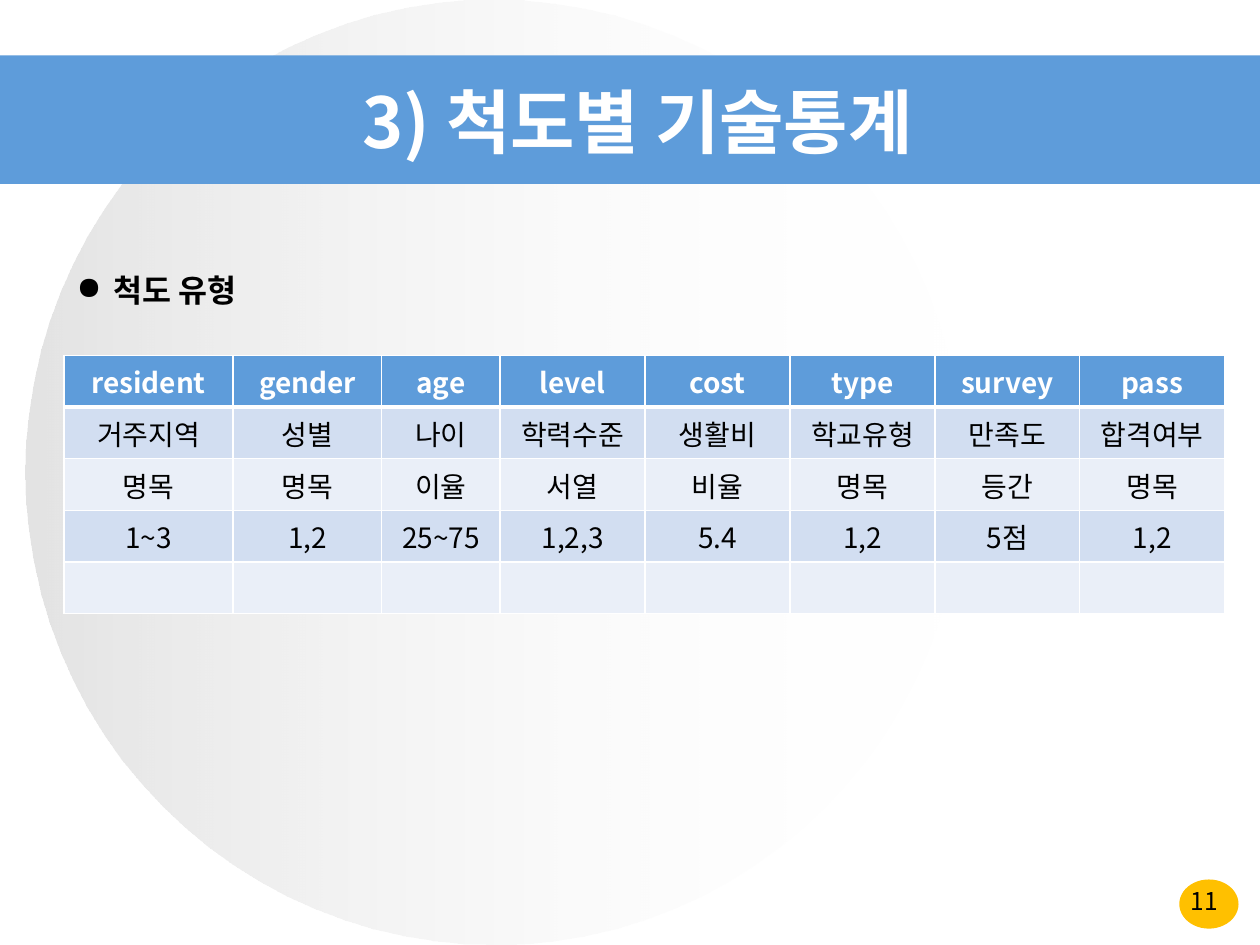
from lxml.etree import SubElement
from pptx import Presentation
from pptx.dml.color import RGBColor
from pptx.enum.shapes import MSO_SHAPE
from pptx.enum.text import MSO_ANCHOR, PP_ALIGN
from pptx.oxml.ns import qn
from pptx.util import Inches, Pt

FONT = "Noto Sans CJK KR"
WHITE = RGBColor(0xFF, 0xFF, 0xFF)
BLACK = RGBColor(0x00, 0x00, 0x00)
SILVER = RGBColor(0xC0, 0xC0, 0xC0)
BLUE = RGBColor(0x5E, 0x9C, 0xDA)
AMBER = RGBColor(0xFF, 0xC0, 0x00)
BAND_DARK = RGBColor(0xD2, 0xDE, 0xF1)
BAND_LIGHT = RGBColor(0xEA, 0xEF, 0xF8)

COLUMN_WIDTHS = [1.34, 1.18, 0.94] + [1.15] * 5
SCALE_ROWS = [
    ["resident", "gender", "age", "level", "cost", "type", "survey", "pass"],
    ["거주지역", "성별", "나이", "학력수준", "생활비", "학교유형", "만족도", "합격여부"],
    ["명목", "명목", "이율", "서열", "비율", "명목", "등간", "명목"],
    ["1~3", "1,2", "25~75", "1,2,3", "5.4", "1,2", "5점", "1,2"],
    [""] * 8,
]


def style_paragraph(paragraph, size, color, bold=False, align=PP_ALIGN.CENTER):
    """Set alignment and font, including the East Asian typeface."""
    paragraph.alignment = align
    font = paragraph.font
    font.name, font.size, font.bold = FONT, Pt(size), bold
    font.color.rgb = color
    SubElement(font._rPr, qn("a:ea"), typeface=FONT)


def add_panel(slide, preset, left, top, width, height):
    """Add an outline-free shape without a shadow."""
    panel = slide.shapes.add_shape(
        preset, Inches(left), Inches(top), Inches(width), Inches(height))
    panel.shadow.inherit = False
    panel.line.fill.background()
    return panel


def add_label(slide, left, top, width, height, text):
    """Add a wrapping text box and return its frame."""
    frame = slide.shapes.add_textbox(
        Inches(left), Inches(top), Inches(width), Inches(height)).text_frame
    frame.word_wrap = True
    frame.text = text
    return frame


def add_backdrop(slide, left, top, width, height):
    """Draw the large circle that fades out to the right."""
    circle = add_panel(slide, MSO_SHAPE.OVAL, left, top, width, height)
    circle.fill.gradient()
    circle.fill.gradient_angle = 0
    fade = [(SILVER, 44), (WHITE, 0)]
    for position, (stop, (color, opacity)) in enumerate(zip(circle.fill.gradient_stops, fade)):
        stop.position = position
        stop.color.rgb = color
    for tint, (_, opacity) in zip(circle._element.spPr.iter(qn("a:srgbClr")), fade):
        SubElement(tint, qn("a:alpha"), val=str(opacity * 1000))


def add_title_band(slide, left, top, width, height):
    """Draw the blue band with the centred slide title."""
    band = add_panel(slide, MSO_SHAPE.RECTANGLE, left, top, width, height)
    band.fill.solid()
    band.fill.fore_color.rgb = BLUE
    title = add_label(slide, left + 0.12, top + 0.14, width - 0.12, 0.75, "3) 척도별 기술통계")
    title.vertical_anchor = MSO_ANCHOR.MIDDLE
    style_paragraph(title.paragraphs[0], 40, WHITE, bold=True)


def add_page_badge(slide, left, top, width, height):
    """Draw the amber badge with the page number."""
    badge = add_panel(slide, MSO_SHAPE.OVAL, left, top, width, height)
    badge.fill.solid()
    badge.fill.fore_color.rgb = AMBER
    number = add_label(slide, left - 0.24, top, 0.88, 0.29, "11")
    style_paragraph(number.paragraphs[0], 14, BLACK)


def add_bullet_heading(slide, left, top, width, height):
    """Write the bulleted heading above the table."""
    heading = add_label(slide, left, top, width, height, "척도 유형").paragraphs[0]
    properties = heading._p.get_or_add_pPr()
    properties.set("marL", str(Inches(0.29)))
    properties.set("indent", str(-Inches(0.29)))
    SubElement(properties, qn("a:buChar"), char="●")
    style_paragraph(heading, 18, BLACK, bold=True, align=PP_ALIGN.LEFT)


def set_borders(cell, top, bottom):
    """Give the cell white borders, with top and bottom widths in points."""
    properties = cell._tc.get_or_add_tcPr()
    for side, points in (("lnL", 1), ("lnR", 1), ("lnT", top), ("lnB", bottom)):
        line = SubElement(properties, qn(f"a:{side}"), w=str(Pt(points)))
        fill = SubElement(line, qn("a:solidFill"))
        SubElement(fill, qn("a:srgbClr"), val=str(WHITE))


def add_scale_table(slide, left, top, width, height):
    """Build the banded table of variables and their scales."""
    table = slide.shapes.add_table(
        len(SCALE_ROWS), len(COLUMN_WIDTHS),
        Inches(left), Inches(top), Inches(width), Inches(height)).table
    for column, column_width in zip(table.columns, COLUMN_WIDTHS):
        column.width = Inches(column_width)
    for row_index, values in enumerate(SCALE_ROWS):
        header = row_index == 0
        band = BLUE if header else BAND_DARK if row_index % 2 else BAND_LIGHT
        for column_index, value in enumerate(values):
            cell = table.cell(row_index, column_index)
            cell.text = value
            style_paragraph(cell.text_frame.paragraphs[0], 16,
                            WHITE if header else BLACK, bold=header)
            set_borders(cell, 3 if row_index == 1 else 1, 3 if header else 1)
            cell.fill.solid()
            cell.fill.fore_color.rgb = band


def main():
    """Build and save the slide."""
    presentation = Presentation()
    presentation.slide_width, presentation.slide_height = Inches(10), Inches(7.5)
    slide = presentation.slides.add_slide(presentation.slide_layouts[6])
    add_page_badge(slide, 9.36, 6.98, 0.47, 0.39)
    add_backdrop(slide, 0.2, 0, 7.44, 7.5)
    add_title_band(slide, 0, 0.44, 10, 1.02)
    add_scale_table(slide, 0.51, 2.82, 9.21, 2.05)
    add_bullet_heading(slide, 0.51, 2.1, 2.6, 0.4)
    presentation.save("out.pptx")


if __name__ == "__main__":
    main()
